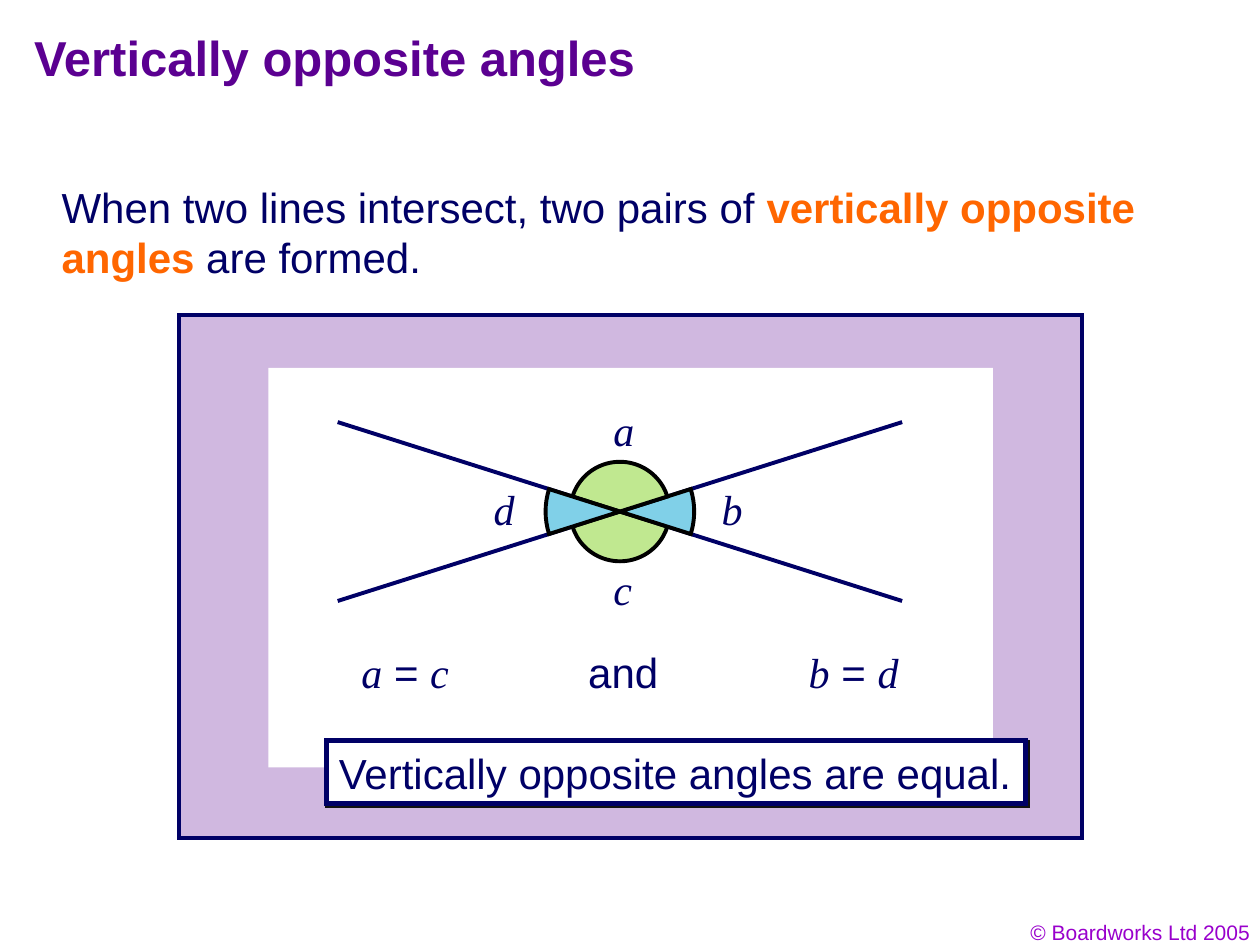
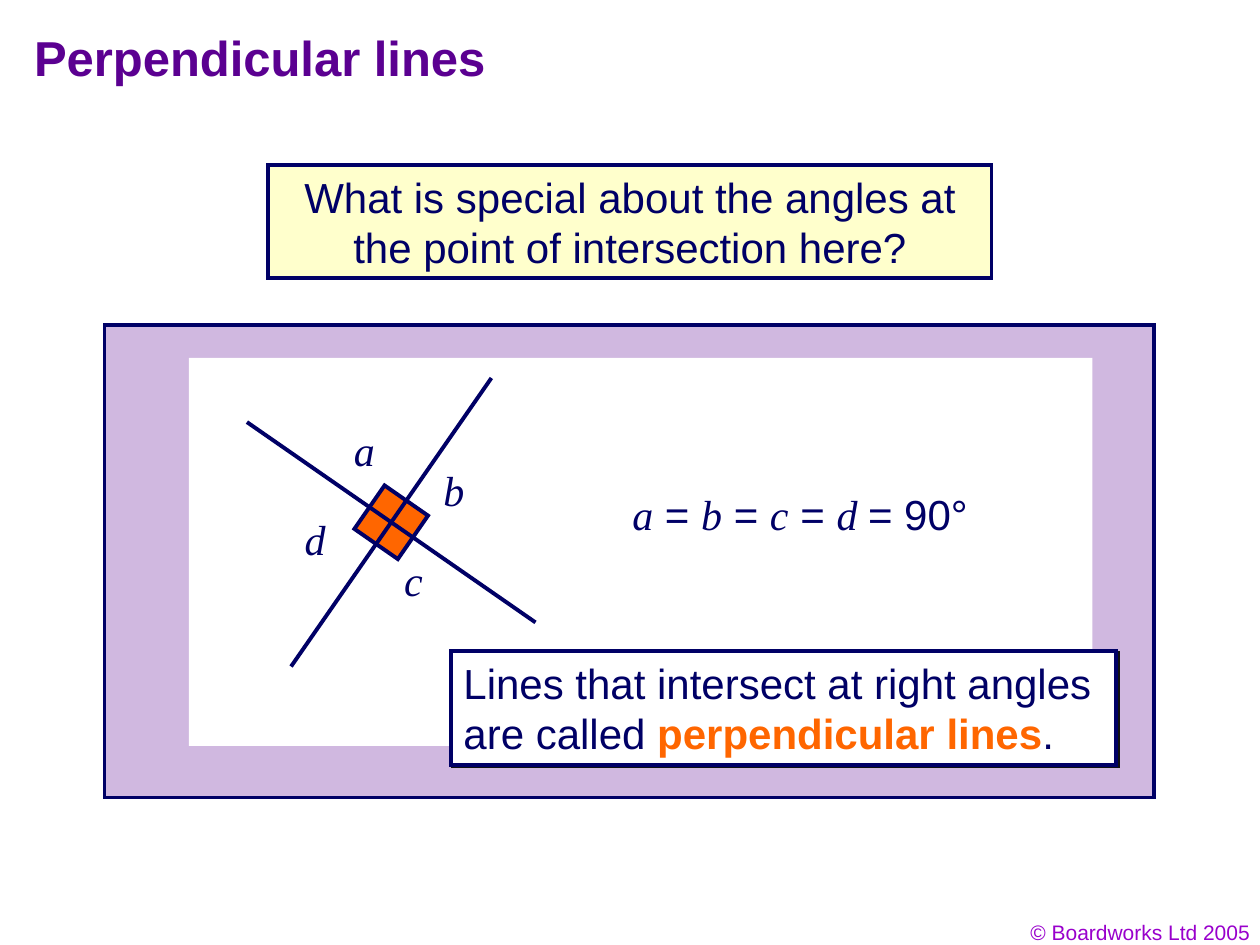
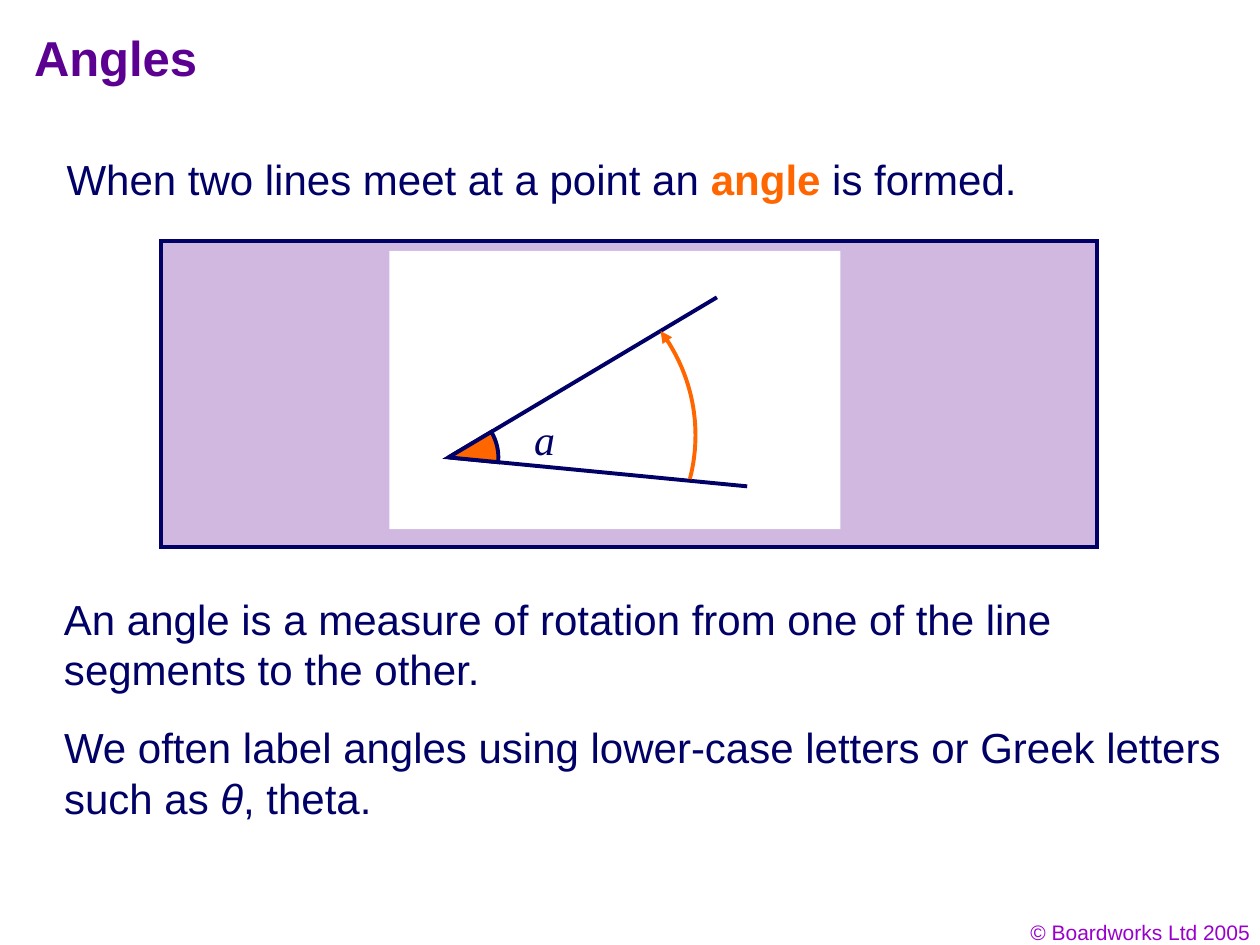
"""Build three lesson slides about angles and intersecting lines."""
import math
from dataclasses import dataclass

import lxml.etree
import pptx
import pptx.dml.color
import pptx.enum.shapes
import pptx.enum.text
import pptx.oxml.ns
import pptx.util

COLUMNS, ROWS = 100, 75
CELL = pptx.util.Inches(0.1)


@dataclass(frozen=True)
class Theme:
    """Colours, fonts and sizes shared by the slides."""

    ink: str = "000066"
    title: str = "5B0091"
    footer: str = "9900CC"
    key: str = "FF6600"
    panel: str = "D0B8E0"
    sheet: str = "FFFFFF"
    question: str = "FFFFCC"
    shadow: str = "111111"
    outline: str = "000000"
    green: str = "C0E890"
    blue: str = "80D0E8"
    sans: str = "Arial"
    serif: str = "Times New Roman"
    title_size: int = 28
    text_size: int = 24
    footer_size: int = 12
    stroke: float = 2.25
    heavy: float = 3


THEME = Theme()
ALIGN = pptx.enum.text.PP_ALIGN
SHAPES = pptx.enum.shapes.MSO_SHAPE

STYLES = {
    "plain": dict(),
    "key": dict(colour=THEME.key, bold=True),
    "math": dict(font=THEME.serif, italic=True),
    "slant": dict(italic=True),
    "title": dict(size=THEME.title_size, colour=THEME.title, bold=True),
    "footer": dict(size=THEME.footer_size, colour=THEME.footer),
}
LOOKS = {
    "text": dict(),
    "label": dict(wrap=False),
    "footer": dict(align=ALIGN.RIGHT),
    "question": dict(fill=THEME.question, align=ALIGN.CENTER),
    "note": dict(fill=THEME.sheet, shadow=True),
    "banner": dict(fill=THEME.sheet, shadow=True, stroke=THEME.heavy, wrap=False),
}

TITLE_PLACE = (1.7, 1.7, 85, 6.7)
FOOTER = ((76.9, 72.5, 23.3, 3), "footer", [("© Boardworks Ltd 2005", "footer")])
LABEL_SIZE = (3.6, 5)

CROSSING = dict(
    centre=(49.2, 40.6), arm=(22.4, 7.1), inner=3.95, outer=5.9,
)
RIGHT_CROSSING = dict(centre=(31.05, 41.45), arm=(11.45, 7.95), square=4.2)
ROTATION = dict(
    vertex=(35.6, 36.3), upper=(56.9, 23.6), lower=(59.3, 38.6), corner=3.95,
    sweep_centre=(41.45, 34.55), sweep_radius=13.75, sweep=(323, 14.6),
)

SLIDES = [
    dict(
        title="Vertically opposite angles",
        panel=(14.2, 25, 71.7, 41.5),
        sheet=(21.3, 29.2, 57.5, 31.7),
        labels={"a": (47.7, 31.6), "b": (56.3, 37.9), "c": (47.7, 44.2), "d": (38.2, 37.9)},
        texts=[
            ((3.9, 13.9, 94.1, 9), "text", [
                ("When two lines intersect, two pairs of ", "plain"),
                ("vertically opposite angles", "key"), (" are formed.", "plain")]),
            ((27.7, 50.8, 9.4, 5), "label", [("a", "math"), (" = ", "plain"), ("c", "math")]),
            ((45.7, 50.8, 8.8, 5), "label", [("and", "plain")]),
            ((63.2, 50.8, 9.4, 5), "label", [("b", "math"), (" = ", "plain"), ("d", "math")]),
            ((25.9, 58.8, 55.5, 5), "banner", [("Vertically opposite angles are equal.", "plain")]),
        ],
    ),
    dict(
        title="Perpendicular lines",
        panel=(8.3, 25.8, 83.3, 37.5),
        sheet=(15, 28.4, 71.7, 30.8),
        labels={"a": (27.1, 33.2), "b": (34.2, 36.4), "c": (31.1, 43.5), "d": (23.2, 40.3)},
        texts=[
            ((21.3, 13.1, 57.4, 9), "question", [
                ("What is special about the angles at the point of intersection here?", "plain")]),
            ((49.2, 38.3, 29, 5), "text", [
                ("a", "math"), (" = ", "plain"), ("b", "math"), (" = ", "plain"),
                ("c", "math"), (" = ", "plain"), ("d ", "math"), ("= 90°", "plain")]),
            ((35.8, 51.7, 52.8, 9), "note", [
                ("Lines that intersect at right angles are called ", "plain"),
                ("perpendicular lines", "key"), (".", "plain")]),
        ],
    ),
    dict(
        title="Angles",
        panel=(12.8, 19.1, 74.3, 24.3),
        sheet=(30.9, 19.9, 35.8, 22.1),
        labels={"a": (41.4, 32.3)},
        texts=[
            ((4.3, 11.7, 82.5, 5), "text", [
                ("When two lines meet at a point an ", "plain"),
                ("angle", "key"), (" is formed.", "plain")]),
            ((4.1, 46.6, 92.3, 9), "text", [
                ("An angle is a measure of rotation from one of the line segments to the other.",
                 "plain")]),
            ((4.1, 56.8, 93.9, 9), "text", [
                ("We often label angles using lower-case letters or Greek letters such as ",
                 "plain"), ("θ", "slant"), (", theta.", "plain")]),
        ],
    ),
]


def cells(*lengths):
    """Turn grid lengths into slide units."""
    return [round(length * CELL) for length in lengths]


def rgb(colour):
    """Return the colour object for a hexadecimal string."""
    return pptx.dml.color.RGBColor.from_string(colour)


def add_child(parent, tag, **attributes):
    """Append a drawing element to a parent element."""
    return lxml.etree.SubElement(parent, pptx.oxml.ns.qn(tag), attributes)


def properties_part(shape, tag):
    """Find an element within the shape's properties."""
    return shape.element.spPr.find(pptx.oxml.ns.qn(tag))


def add_runs(para, runs):
    """Write styled runs into a paragraph."""
    for text, style in runs:
        look = STYLES[style]
        span = para.add_run()
        span.text = text
        span.font.name = look.get("font", THEME.sans)
        span.font.size = pptx.util.Pt(look.get("size", THEME.text_size))
        span.font.bold = look.get("bold", False)
        span.font.italic = look.get("italic", False)
        span.font.color.rgb = rgb(look.get("colour", THEME.ink))


def add_figure(page, kind, place, fill=None, line=None, stroke=THEME.stroke):
    """Add a preset shape with a plain fill and a sharp-cornered outline."""
    shape = page.shapes.add_shape(kind, *cells(*place))
    shape.shadow.inherit = False
    if fill:
        shape.fill.solid()
        shape.fill.fore_color.rgb = rgb(fill)
    else:
        shape.fill.background()
    if line:
        shape.line.color.rgb = rgb(line)
        shape.line.width = pptx.util.Pt(stroke)
        add_child(properties_part(shape, "a:ln"), "a:miter", lim="800000")
    else:
        shape.line.fill.background()
    return shape


def add_sector(page, kind, centre, radius, angles, **paint):
    """Add a pie or arc that runs clockwise between two angles in degrees."""
    x, y = centre
    shape = add_figure(page, kind, (x - radius, y - radius, 2 * radius, 2 * radius), **paint)
    for index, angle in enumerate(angles):
        shape.adjustments[index] = angle % 360 * 0.6
    return shape


def add_line(page, start, end):
    """Add a straight line between two grid points."""
    kind = pptx.enum.shapes.MSO_CONNECTOR.STRAIGHT
    line = page.shapes.add_connector(kind, *cells(*start, *end))
    line.line.color.rgb = rgb(THEME.ink)
    line.line.width = pptx.util.Pt(THEME.stroke)
    add_child(line.element.spPr, "a:effectLst")


def add_cross_line(page, centre, arm):
    """Add a line that reaches one arm to each side of its centre."""
    (x, y), (dx, dy) = centre, arm
    add_line(page, (x - dx, y - dy), (x + dx, y + dy))


def add_text(page, place, look, runs):
    """Add a text box, framed when its look has a fill."""
    look = LOOKS[look]
    if "fill" in look:
        box = add_figure(page, SHAPES.RECTANGLE, place, look["fill"], THEME.ink,
                         look.get("stroke", THEME.stroke))
    else:
        box = page.shapes.add_textbox(*cells(*place))
    if look.get("shadow"):
        shadow = add_child(properties_part(box, "a:effectLst"), "a:outerShdw", blurRad="0",
                           dist=str(pptx.util.Pt(1.4)), dir="2700000", algn="ctr",
                           rotWithShape="0")
        add_child(shadow, "a:srgbClr", val=THEME.shadow)
    frame = box.text_frame
    frame.word_wrap = look.get("wrap", True)
    frame.auto_size = pptx.enum.text.MSO_AUTO_SIZE.SHAPE_TO_FIT_TEXT
    frame.vertical_anchor = pptx.enum.text.MSO_ANCHOR.TOP
    para = frame.paragraphs[0]
    para.alignment = look.get("align", ALIGN.LEFT)
    add_runs(para, runs)
    return box


def angle_of(start, end):
    """Return the clockwise angle of a line in degrees."""
    return math.degrees(math.atan2(end[1] - start[1], end[0] - start[0]))


def draw_crossing(page, centre, arm, inner, outer):
    """Draw two crossing lines and their two pairs of angles."""
    dx, dy = arm
    for rise in (dy, -dy):
        add_cross_line(page, centre, (dx, rise))
    lean = angle_of((0, 0), arm)
    bottom, right = (lean, 180 - lean), (-lean, lean)
    for turn in (0, 180):
        for angles, radius, fill in ((bottom, inner, THEME.green), (right, outer, THEME.blue)):
            add_sector(page, SHAPES.PIE, centre, radius, [angle + turn for angle in angles],
                       fill=fill, line=THEME.outline)


def draw_right_crossing(page, centre, arm, square):
    """Draw two perpendicular lines over a square of right angles."""
    (x, y), (dx, dy) = centre, arm
    marker = add_figure(page, SHAPES.RECTANGLE, (x - square / 2, y - square / 2, square, square),
                        THEME.key, THEME.ink)
    marker.rotation = angle_of((0, 0), arm) + 270
    for direction in ((dy, -dx), arm):
        add_cross_line(page, centre, direction)


def draw_rotation(page, vertex, upper, lower, corner, sweep_centre, sweep_radius, sweep):
    """Draw an angle and the arrow that turns one side to the other."""
    for end in (upper, lower):
        add_line(page, vertex, end)
    add_sector(page, SHAPES.PIE, vertex, corner,
               (angle_of(vertex, upper), angle_of(vertex, lower)),
               fill=THEME.key, line=THEME.ink)
    arrow = add_sector(page, SHAPES.ARC, sweep_centre, sweep_radius, sweep, line=THEME.key)
    add_child(properties_part(arrow, "a:ln"), "a:headEnd", type="triangle")


def prepare_layout(deck):
    """Return the title layout with only its title, in place."""
    layout = deck.slide_layouts[5]
    for holder in list(layout.placeholders):
        if holder.placeholder_format.idx:
            holder.element.getparent().remove(holder.element)
        else:
            holder.left, holder.top, holder.width, holder.height = cells(*TITLE_PLACE)
    return layout


def add_page(deck, layout, content):
    """Add a slide with its title, panel and sheet."""
    page = deck.slides.add_slide(layout)
    frame = page.shapes.title.text_frame
    frame.auto_size = pptx.enum.text.MSO_AUTO_SIZE.NONE
    frame.vertical_anchor = pptx.enum.text.MSO_ANCHOR.TOP
    frame.paragraphs[0].alignment = ALIGN.LEFT
    add_runs(frame.paragraphs[0], [(content["title"], "title")])
    add_figure(page, SHAPES.RECTANGLE, content["panel"], THEME.panel, THEME.ink)
    add_figure(page, SHAPES.RECTANGLE, content["sheet"], THEME.sheet)
    return page


def main():
    """Build and save the deck."""
    deck = pptx.Presentation()
    deck.slide_width, deck.slide_height = COLUMNS * CELL, ROWS * CELL
    layout = prepare_layout(deck)
    drawings = [
        (draw_crossing, CROSSING),
        (draw_right_crossing, RIGHT_CROSSING),
        (draw_rotation, ROTATION),
    ]
    for content, (draw, measures) in zip(SLIDES, drawings):
        page = add_page(deck, layout, content)
        draw(page, **measures)
        for letter, corner in content["labels"].items():
            add_text(page, corner + LABEL_SIZE, "label", [(letter, "math")])
        for place, look, runs in content["texts"]:
            add_text(page, place, look, runs)
    footer = add_text(page, *FOOTER)
    layout.shapes.element.append(footer.element)
    deck.save("out.pptx")


if __name__ == "__main__":
    main()
